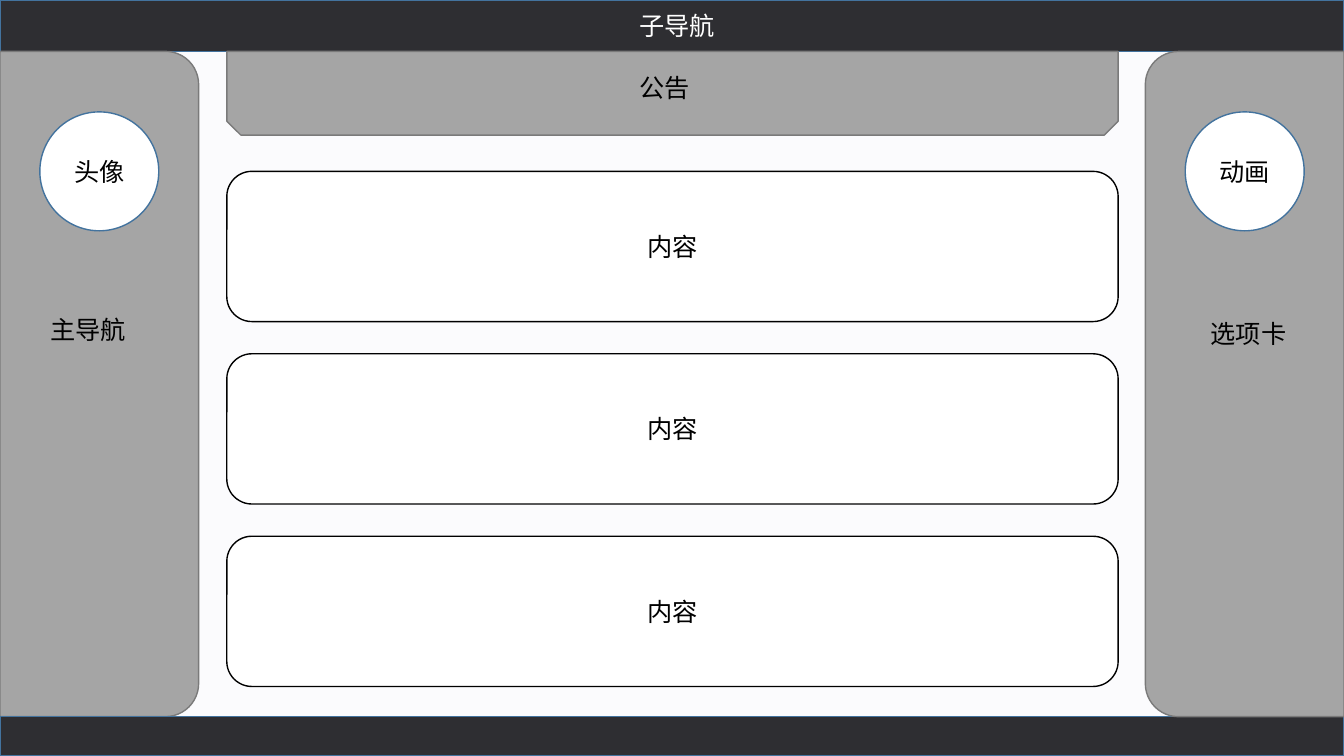
from lxml import etree
from pptx import Presentation
from pptx.dml.color import RGBColor
from pptx.enum.shapes import MSO_SHAPE
from pptx.enum.text import MSO_ANCHOR, MSO_AUTO_SIZE, PP_ALIGN
from pptx.oxml.ns import qn
from pptx.util import Inches, Pt

WIDTH, HEIGHT = 13.33, 7.5
FONT = "Noto Sans CJK SC"
BLACK, WHITE = "000000", "FFFFFF"
DARK, GRAY, GRAY_LINE, BLUE_LINE = "2E2E32", "A5A5A5", "7A7A7A", "43739E"


def color(hex_string):
    return RGBColor.from_string(hex_string)


def add_run(paragraph, text, text_color):
    run = paragraph.add_run()
    run.text = text
    run.font.size = Pt(18)
    run.font.color.rgb = color(text_color)
    run.font.name = FONT
    # Chinese glyphs use the East Asian typeface
    east_asian = etree.SubElement(run.font._element, qn("a:ea"))
    east_asian.set("typeface", FONT)


def add_block(slide, preset, box, fill, line, text=None, rotation=0):
    shape = slide.shapes.add_shape(preset, *map(Inches, box))
    shape.rotation = rotation
    shape.shadow.inherit = False
    shape.fill.solid()
    shape.fill.fore_color.rgb = color(fill)
    shape.line.color.rgb = color(line)
    shape.line.width = Pt(1)
    if text:
        frame = shape.text_frame
        frame.vertical_anchor = MSO_ANCHOR.MIDDLE
        frame.paragraphs[0].alignment = PP_ALIGN.CENTER
        add_run(frame.paragraphs[0], text, BLACK)


def add_label(slide, left, top, width, text, text_color=BLACK):
    text_box = slide.shapes.add_textbox(*map(Inches, (left, top, width, 0.4)))
    frame = text_box.text_frame
    frame.word_wrap = True
    frame.auto_size = MSO_AUTO_SIZE.SHAPE_TO_FIT_TEXT
    add_run(frame.paragraphs[0], text, text_color)


def add_bar(slide, box, title=None):
    left, top = box[:2]
    add_block(slide, MSO_SHAPE.RECTANGLE, box, DARK, BLUE_LINE)
    if title:
        add_label(slide, left + 6.24, top + 0.05, 1.83, title, WHITE)


def add_side_panel(slide, box, rotation, circle_text, label, label_box):
    left, top, width, height = box
    # The preset lies on its side, so its unrotated box swaps width and height
    turned_box = (left + (width - height) / 2, top + (height - width) / 2,
                  height, width)
    add_block(slide, MSO_SHAPE.ROUND_2_SAME_RECTANGLE, turned_box,
              GRAY, GRAY_LINE, rotation=rotation)
    diameter = 1.18
    circle_box = (left + (width - diameter) / 2, top + 0.6, diameter, diameter)
    add_block(slide, MSO_SHAPE.OVAL, circle_box, WHITE, BLUE_LINE, circle_text)
    label_left, label_top, label_width = label_box
    add_label(slide, left + label_left, top + label_top, label_width, label)


def add_notice(slide, box, text):
    left, top = box[:2]
    add_block(slide, MSO_SHAPE.SNIP_2_SAME_RECTANGLE, box, GRAY, GRAY_LINE,
              rotation=180)
    add_label(slide, left + 3.99, top + 0.16, 1.72, text)


def add_content(slide, box, texts):
    left, top, width, height = box
    card_height = 1.49
    step = (height - card_height) / (len(texts) - 1)
    for index, text in enumerate(texts):
        card_box = (left, top + index * step, width, card_height)
        add_block(slide, MSO_SHAPE.ROUNDED_RECTANGLE, card_box,
                  WHITE, BLACK, text)


presentation = Presentation()
presentation.slide_width = Inches(WIDTH)
presentation.slide_height = Inches(HEIGHT)
slide = presentation.slides.add_slide(presentation.slide_layouts[6])

# Page background
add_block(slide, MSO_SHAPE.RECTANGLE, (0, 0, WIDTH, HEIGHT), "FBFBFD", BLUE_LINE)

# Top navigation, left panel and footer
add_bar(slide, (0, 0, WIDTH, 0.51), "子导航")
add_side_panel(slide, (0, 0.51, 1.97, 6.6), 90, "头像", "主导航",
               (0.4, 2.56, 1.02))
add_bar(slide, (0, 7.11, WIDTH, 0.39))

# Right panel overlaps the footer edge
add_side_panel(slide, (11.36, 0.51, 1.97, 6.6), 270, "动画", "选项卡",
               (0.55, 2.6, 1.18))

# Centre column
add_content(slide, (2.25, 1.7, 8.84, 5.11), ["内容"] * 3)
add_notice(slide, (2.25, 0.51, 8.84, 0.83), "公告")

presentation.save("out.pptx")
